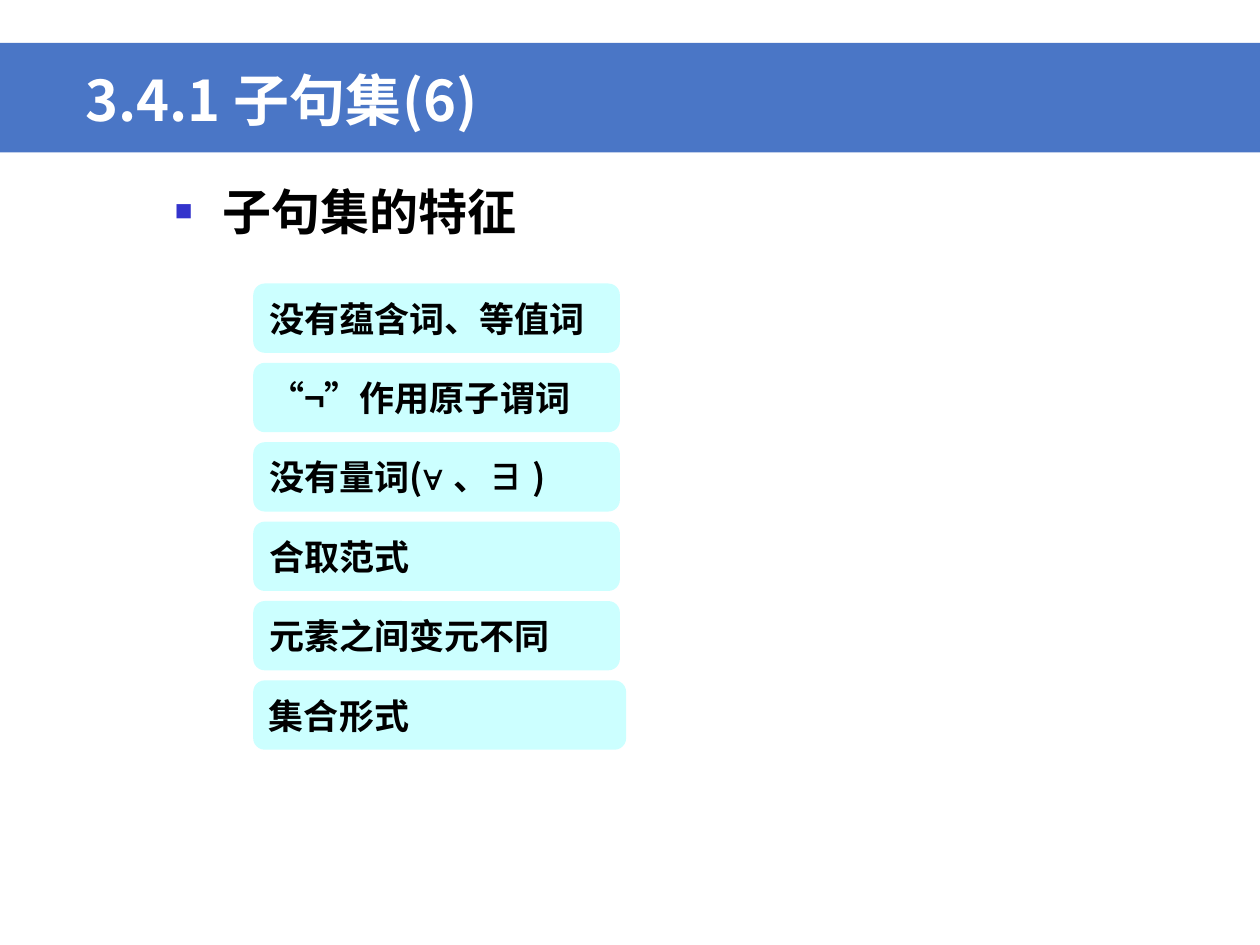
from dataclasses import dataclass

import lxml.etree
import pptx
import pptx.dml.color
import pptx.enum.shapes
import pptx.enum.text
import pptx.oxml.ns
import pptx.util

WIDE, HIGH = 10, 7.5
CJK = "Noto Sans CJK SC"
ANCHOR = pptx.enum.text.MSO_ANCHOR
SHAPE = pptx.enum.shapes.MSO_SHAPE


@dataclass
class Box:
    """A frame in inches."""
    left: float
    top: float
    width: float
    height: float


@dataclass
class Chip:
    """A rounded label made of text and font pairs."""
    runs: list[tuple[str, str]]
    width: float = 2.91


CHIPS = [
    Chip([("没有蕴含词、等值词", "Roboto")]),
    Chip([("“¬”作用原子谓词", CJK)]),
    Chip([("没有量词(", CJK), ("∀ ", "Arial"), ("、", CJK),
          ("∃ ", "Arial"), (")", CJK)]),
    Chip([("合取范式", CJK)]),
    Chip([("元素之间变元不同", CJK)]),
    Chip([("集合形式", CJK)], 2.96),
]


def tint(code: str) -> pptx.dml.color.RGBColor:
    """Turn a hex string into a colour."""
    return pptx.dml.color.RGBColor.from_string(code)


def place(box: Box) -> list[pptx.util.Emu]:
    """Give the frame as slide lengths."""
    return [pptx.util.Inches(n)
            for n in (box.left, box.top, box.width, box.height)]


def panel(slide, kind, box: Box, fill: str):
    """Draw a plain filled shape."""
    shape = slide.shapes.add_shape(kind, *place(box))
    shape.shadow.inherit = False
    shape.fill.solid()
    shape.fill.fore_color.rgb = tint(fill)
    shape.line.fill.background()
    return shape


def child(node, tag: str, **attrs: str):
    """Add a drawing element to a node."""
    return lxml.etree.SubElement(node, pptx.oxml.ns.qn(tag), attrs)


def bullet(para, code: str, mark: str, share: int, indent: float) -> None:
    """Give a paragraph a coloured bullet and a hanging indent."""
    props = para._p.get_or_add_pPr()
    inset = pptx.util.Inches(indent)
    props.set("marL", str(inset))
    props.set("indent", str(-inset))
    child(child(props, "a:buClr"), "a:srgbClr", val=code)
    child(props, "a:buSzPct", val=str(share * 1000))
    child(props, "a:buFont", typeface="Arial")
    child(props, "a:buChar", char=mark)


def write(shape, runs: list[tuple[str, str]], *, size: float,
          color: str = "000000", anchor=ANCHOR.MIDDLE, mark: str = "") -> None:
    """Fill a shape with one bold left-aligned paragraph."""
    frame = shape.text_frame
    frame.word_wrap = True
    frame.vertical_anchor = anchor
    para = frame.paragraphs[0]
    para.alignment = pptx.enum.text.PP_ALIGN.LEFT
    if mark:
        bullet(para, "3333CC", mark, 60, 0.38)
    for text, face in runs:
        run = para.add_run()
        run.text = text
        font = run.font
        font.size = pptx.util.Pt(size)
        font.bold = True
        font.color.rgb = tint(color)
        font.name = face
        child(run._r.get_or_add_rPr(), "a:ea", typeface=face)


def stack(slide, left: float, top: float, step: float, high: float) -> None:
    """Draw the chips at equal steps down the slide."""
    for row, chip in enumerate(CHIPS):
        box = Box(left, top + row * step, chip.width, high)
        write(panel(slide, SHAPE.ROUNDED_RECTANGLE, box, "CCFFFF"),
              chip.runs, size=20)


def main() -> None:
    """Build and save the slide."""
    deck = pptx.Presentation()
    deck.slide_width = pptx.util.Inches(WIDE)
    deck.slide_height = pptx.util.Inches(HIGH)
    slide = deck.slides.add_slide(deck.slide_layouts[6])
    panel(slide, SHAPE.RECTANGLE, Box(0, 0.34, WIDE, 0.87), "4A76C6")
    title = slide.shapes.add_textbox(*place(Box(0.58, 0.34, 8.52, 0.76)))
    write(title, [("3.4.1 子句集(6)", CJK)], size=32, color="FFFFFF",
          anchor=ANCHOR.BOTTOM)
    body = slide.shapes.add_textbox(*place(Box(1.29, 1.39, 8.5, 5.32)))
    write(body, [("子句集的特征", "Roboto")], size=28,
          anchor=ANCHOR.TOP, mark="■")
    stack(slide, 2.01, 2.25, 0.63, 0.55)
    deck.save("out.pptx")


if __name__ == "__main__":
    main()
